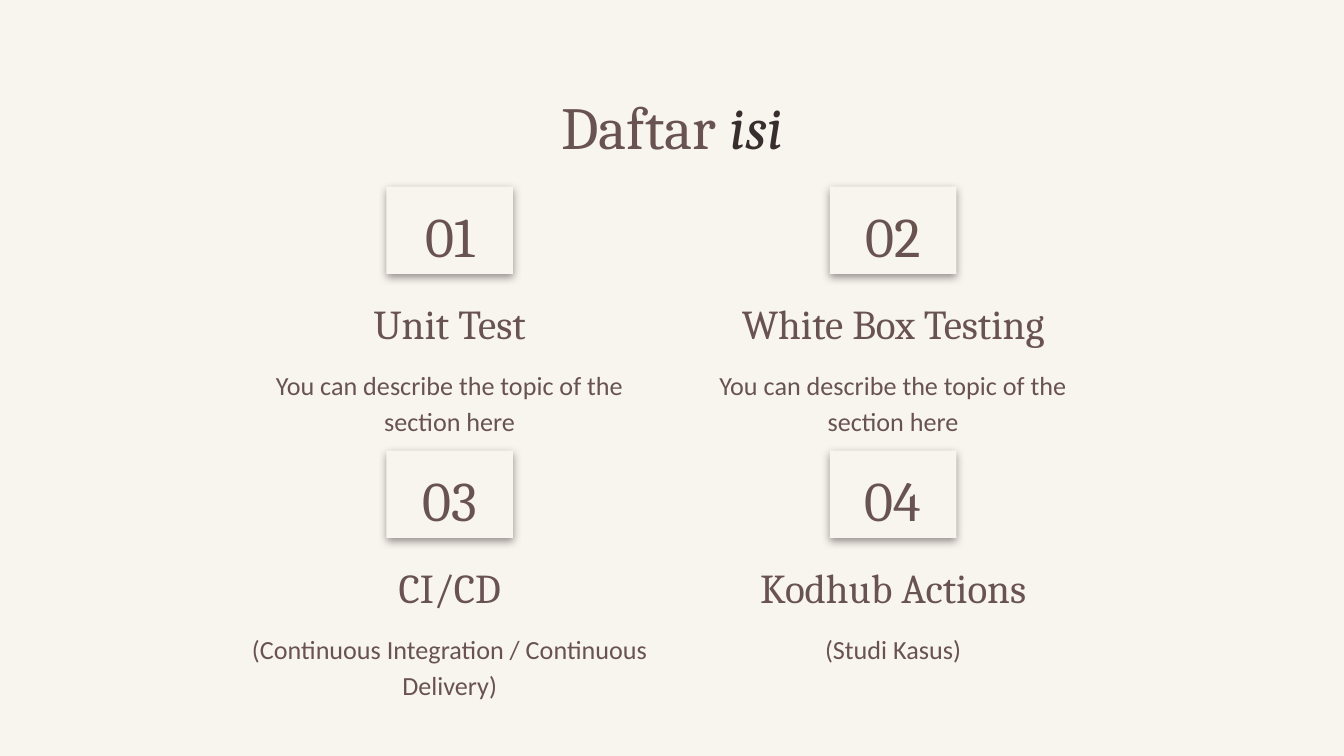
from dataclasses import dataclass

from lxml.etree import SubElement
from pptx import Presentation
from pptx.dml.color import RGBColor
from pptx.enum.shapes import MSO_SHAPE
from pptx.enum.text import MSO_ANCHOR, MSO_AUTO_SIZE, PP_ALIGN
from pptx.oxml.ns import qn
from pptx.shapes.autoshape import Shape
from pptx.slide import Slide
from pptx.util import Cm, Pt

CREAM = RGBColor(0xF8, 0xF4, 0xEE)
BROWN = RGBColor(0x69, 0x53, 0x50)
DARK = RGBColor(0x38, 0x2E, 0x2E)
SERIF, SANS = "Cambria", "Calibri"

# Grid of topics, in centimetres
COLUMNS = 2
LEFT, TOP = 4.45, 3.53
COLUMN_STEP, ROW_STEP = 8.38, 4.99
TOPIC_W = 8.1
BADGE_W, BADGE_H = 2.39, 1.65
HEADING_H = 1.65
DETAIL_DROP, DETAIL_H = 3.11, 1.6


@dataclass
class Topic:
    heading: str
    detail: str


TOPICS = [
    Topic("Unit Test", "You can describe the topic of the section here"),
    Topic("White Box Testing", "You can describe the topic of the section here"),
    Topic("CI/CD", "(Continuous Integration / Continuous Delivery)"),
    Topic("Kodhub Actions", "(Studi Kasus)"),
]


def format_text(shape: Shape, size: int, font: str, anchor: MSO_ANCHOR) -> None:
    tf = shape.text_frame
    tf.word_wrap = True
    tf.auto_size = MSO_AUTO_SIZE.NONE
    tf.vertical_anchor = anchor
    tf.margin_left = tf.margin_right = tf.margin_top = tf.margin_bottom = Cm(0.25)
    for p in tf.paragraphs:
        p.alignment = PP_ALIGN.CENTER
        p.line_spacing = 1.15
        p.space_before = Pt(0)
        for r in p.runs:
            r.font.size = Pt(size)
            r.font.name = font
            r.font.color.rgb = BROWN


def add_shadow(shape: Shape) -> None:
    shape.shadow.inherit = False
    effects = shape._element.spPr.find(qn("a:effectLst"))
    shadow = SubElement(effects, qn("a:outerShdw"), blurRad=str(Pt(4.5)),
                        dist=str(Pt(1.5)), dir="5400000", algn="bl", rotWithShape="0")
    color = SubElement(shadow, qn("a:srgbClr"), val=str(DARK))
    SubElement(color, qn("a:alpha"), val="50000")


def add_badge(s: Slide, left: float, top: float, number: int) -> None:
    badge = s.shapes.add_shape(MSO_SHAPE.RECTANGLE, Cm(left), Cm(top),
                               Cm(BADGE_W), Cm(BADGE_H))
    badge.fill.solid()
    badge.fill.fore_color.rgb = CREAM
    badge.line.fill.background()
    add_shadow(badge)
    badge.text_frame.text = f"{number:02d}"
    format_text(badge, 30, SERIF, MSO_ANCHOR.MIDDLE)


def add_text(s: Slide, left: float, top: float, height: float, text: str,
             size: int, font: str, anchor: MSO_ANCHOR) -> None:
    box = s.shapes.add_textbox(Cm(left), Cm(top), Cm(TOPIC_W), Cm(height))
    box.text_frame.text = text
    format_text(box, size, font, anchor)


def add_topic(s: Slide, index: int, topic: Topic) -> None:
    row, column = divmod(index, COLUMNS)
    left = LEFT + column * COLUMN_STEP
    top = TOP + row * ROW_STEP
    add_badge(s, left + (TOPIC_W - BADGE_W) / 2, top, index + 1)
    add_text(s, left, top + BADGE_H, HEADING_H, topic.heading,
             22, SERIF, MSO_ANCHOR.BOTTOM)
    add_text(s, left, top + DETAIL_DROP, DETAIL_H, topic.detail,
             14, SANS, MSO_ANCHOR.TOP)


def add_title(s: Slide) -> None:
    title = s.shapes.title
    title.left, title.top, title.width, title.height = Cm(2), Cm(1.24), Cm(21.4), Cm(1.6)
    p = title.text_frame.paragraphs[0]
    p.add_run().text = "Daftar "
    accent = p.add_run()
    accent.text = "isi"
    format_text(title, 32, SERIF, MSO_ANCHOR.TOP)
    accent.font.italic = True
    accent.font.color.rgb = DARK


def main() -> None:
    prs = Presentation()
    prs.slide_width, prs.slide_height = Cm(25.4), Cm(14.29)
    s = prs.slides.add_slide(prs.slide_layouts[5])

    # Background
    s.background.fill.solid()
    s.background.fill.fore_color.rgb = CREAM

    # Title and numbered topics
    add_title(s)
    for index, topic in enumerate(TOPICS):
        add_topic(s, index, topic)

    prs.save("out.pptx")


if __name__ == "__main__":
    main()
